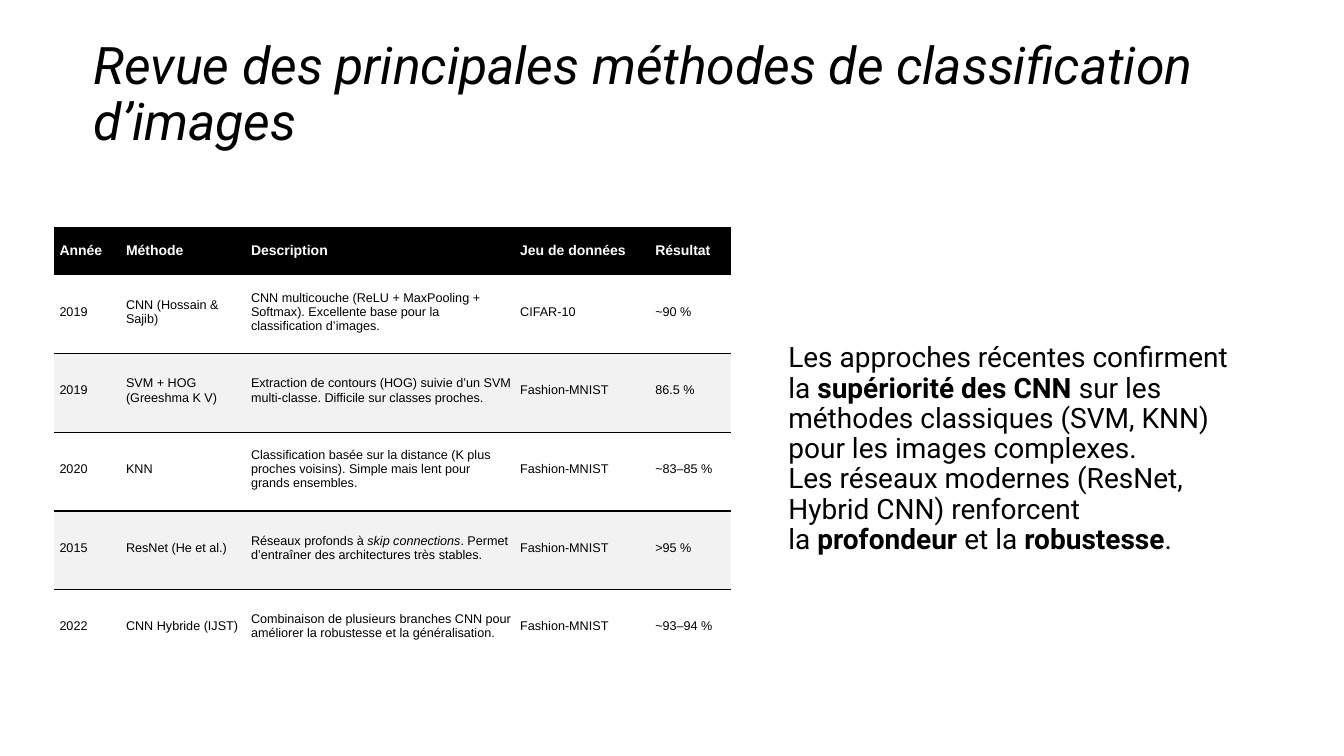
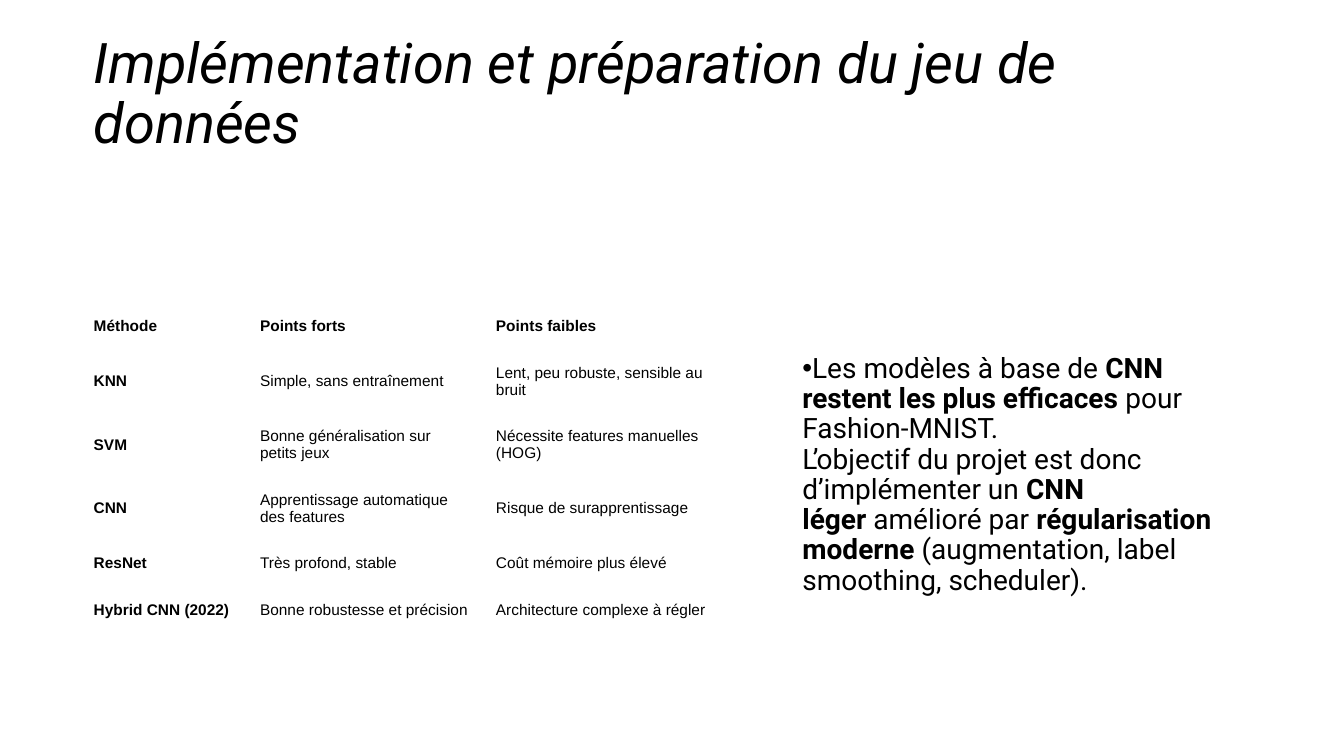
from lxml import etree
from pptx import Presentation
from pptx.dml.color import RGBColor
from pptx.enum.text import MSO_ANCHOR, MSO_AUTO_SIZE, PP_ALIGN
from pptx.oxml.ns import qn
from pptx.util import Inches, Pt

BLACK = RGBColor(0x00, 0x00, 0x00)
WHITE = RGBColor(0xFF, 0xFF, 0xFF)
BAND = RGBColor(0xF2, 0xF2, 0xF2)
MIDDLE = MSO_ANCHOR.MIDDLE
NO_AUTOFIT = MSO_AUTO_SIZE.NONE
LEFT = PP_ALIGN.LEFT
HEAD_FONT, CELL_FONT = "Roboto", "Arial"
NBSP = chr(160)
PLAIN_TABLE = "{2D5ABB26-0587-4C30-8999-92F81FD0307C}"

# Content: *stars* mark emphasis, a newline is a line break
REVIEW = {
    "title": "Revue des principales méthodes de classification\nd’images",
    "title_size": 37,
    "rows": [
        ("Année", "Méthode", "Description", "Jeu de données", "Résultat"),
        ("2019", "CNN (Hossain & Sajib)",
         "CNN multicouche (ReLU + MaxPooling + Softmax). Excellente base pour "
         "la classification d’images.", "CIFAR-10", "~90 %"),
        ("2019", "SVM + HOG (Greeshma K V)",
         "Extraction de contours (HOG) suivie d’un SVM multi-classe. Difficile "
         "sur classes proches.", "Fashion-MNIST", "86.5 %"),
        ("2020", "KNN",
         "Classification basée sur la distance (K plus proches voisins). Simple "
         "mais lent pour grands ensembles.", "Fashion-MNIST", "~83–85 %"),
        ("2015", "ResNet (He et al.)",
         "Réseaux profonds à *skip connections*. Permet d’entraîner des "
         "architectures très stables.", "Fashion-MNIST", ">95 %"),
        ("2022", "CNN Hybride (IJST)",
         "Combinaison de plusieurs branches CNN pour améliorer la robustesse "
         "et la généralisation.", "Fashion-MNIST", "~93–94 %"),
    ],
    "table_at": (0.54, 2.25),
    "cols": (0.66, 1.24, 2.67, 1.34, 0.8),
    "heights": (0.48,) + (0.78,) * 5,
    "note": "Les approches récentes confirment la *supériorité des CNN* sur les "
            "méthodes classiques (SVM, KNN) pour les images complexes.\n"
            "Les réseaux modernes (ResNet, Hybrid CNN) renforcent la "
            "*profondeur* et la *robustesse*.",
    "note_at": (7.72, 2.08, 4.81, 4.76),
}
COMPARISON = {
    "title": "Implémentation et préparation du jeu de données",
    "title_size": 40,
    "rows": [
        ("Méthode", "Points forts", "Points faibles"),
        ("KNN", "Simple, sans entraînement", "Lent, peu robuste, sensible au bruit"),
        ("SVM", "Bonne généralisation sur petits jeux",
         "Nécessite features manuelles (HOG)"),
        ("CNN", "Apprentissage automatique des features",
         "Risque de surapprentissage"),
        ("ResNet", "Très profond, stable", "Coût mémoire plus élevé"),
        ("Hybrid CNN (2022)", "Bonne robustesse et précision",
         "Architecture complexe à régler"),
    ],
    "table_at": (0.81, 3.01),
    "cols": (1.65, 2.34, 2.36),
    "heights": (0.46, 0.63, 0.63, 0.63, 0.46, 0.46),
    "note": "Les modèles à base de *CNN restent les plus efficaces* pour "
            "Fashion-MNIST.\nL’objectif du projet est donc d’implémenter un "
            "*CNN léger* amélioré par *régularisation moderne* (augmentation, "
            "label smoothing, scheduler).",
    "note_at": (7.86, 2.58, 4.66, 4.27),
}


def write(tf, text, size, font=HEAD_FONT, color=BLACK, bold=False, italic=False,
          emphasis="bold", spacing=None, after=None):
    """Fill the first paragraph; spaces beside emphasised words do not break."""
    p = tf.paragraphs[0]
    p.alignment = LEFT
    p.line_spacing = spacing
    p.space_after = after
    parts = text.split("*")
    for i, part in enumerate(parts):
        if i > 0 and part.startswith(" "):
            part = NBSP + part[1:]
        if i < len(parts) - 1 and part.endswith(" "):
            part = part[:-1] + NBSP
        for n, line in enumerate(part.split("\n")):
            if n:
                p.add_line_break()
            r = p.add_run()
            r.text = line
            r.font.name, r.font.size = font, Pt(size)
            r.font.color.rgb = color
            r.font.bold, r.font.italic = bold, italic
            if i % 2:
                setattr(r.font, emphasis, True)
    return p


def add_titled_slide(prs, title, size):
    s = prs.slides.add_slide(prs.slide_layouts[5])
    sp = s.shapes.title
    sp.left, sp.top, sp.width, sp.height = map(Inches, (0.83, 0.34, 11.69, 1.21))
    tf = sp.text_frame
    tf.word_wrap, tf.auto_size, tf.vertical_anchor = True, NO_AUTOFIT, MIDDLE
    write(tf, title, size, italic=True, spacing=0.9)
    return s


def add_plain_table(s, content):
    cols, heights = content["cols"], content["heights"]
    box = (*content["table_at"], sum(cols), sum(heights))
    table = s.shapes.add_table(len(heights), len(cols), *map(Inches, box)).table
    table.first_row = table.horz_banding = False
    table._tbl.tblPr.find(qn("a:tableStyleId")).text = PLAIN_TABLE
    for column, width in zip(table.columns, cols):
        column.width = Inches(width)
    for row, height in zip(table.rows, heights):
        row.height = Inches(height)
    return table


def fill_cell(cell, text, size, margins, fill=None, **fmt):
    cell.vertical_anchor = MIDDLE
    (cell.margin_left, cell.margin_top,
     cell.margin_right, cell.margin_bottom) = map(Inches, margins)
    if fill is None:
        cell.fill.background()
    else:
        cell.fill.solid()
        cell.fill.fore_color.rgb = fill
    write(cell.text_frame, text, size, font=CELL_FONT, **fmt)


def add_rule(cell, side):
    ln = etree.Element(qn("a:ln" + side), w=str(Pt(1)))
    fill = etree.SubElement(ln, qn("a:solidFill"))
    etree.SubElement(fill, qn("a:srgbClr"), val=str(BLACK))
    cell._tc.get_or_add_tcPr().insert(0, ln)


def add_note(s, content):
    tf = s.shapes.add_textbox(*map(Inches, content["note_at"])).text_frame
    tf.word_wrap, tf.auto_size, tf.vertical_anchor = True, NO_AUTOFIT, MIDDLE
    return write(tf, content["note"], 20, spacing=0.9, after=Pt(6))


def add_bullet(p):
    pPr = p._p.get_or_add_pPr()
    pPr.set("marL", "0")
    pPr.set("indent", str(Inches(-0.25)))
    etree.SubElement(pPr, qn("a:buFont"), typeface=CELL_FONT)
    etree.SubElement(pPr, qn("a:buChar"), char="•")


def build_review(prs):
    s = add_titled_slide(prs, REVIEW["title"], REVIEW["title_size"])
    table = add_plain_table(s, REVIEW)
    last = len(REVIEW["rows"]) - 1
    for i, row in enumerate(REVIEW["rows"]):
        for j, text in enumerate(row):
            cell = table.cell(i, j)
            if i == 0:
                fill_cell(cell, text, 10, (0.05, 0.07, 0.04, 0.07),
                          fill=BLACK, color=WHITE, bold=True)
                continue
            banded = i % 2 == 0
            fill_cell(cell, text, 9, (0.05, 0.02, 0.04, 0.07),
                      fill=BAND if banded else None, emphasis="italic")
            # A rule separates each plain row from the banded row below it
            if i < last:
                add_rule(cell, "T" if banded else "B")
    add_note(s, REVIEW)


def build_comparison(prs):
    s = add_titled_slide(prs, COMPARISON["title"], COMPARISON["title_size"])
    table = add_plain_table(s, COMPARISON)
    for i, row in enumerate(COMPARISON["rows"]):
        for j, text in enumerate(row):
            fill_cell(table.cell(i, j), text, 11, (0.12,) * 4,
                      bold=i == 0 or j == 0)
    add_bullet(add_note(s, COMPARISON))


def main():
    prs = Presentation()
    prs.slide_width, prs.slide_height = Inches(13.33), Inches(7.5)
    build_review(prs)
    build_comparison(prs)
    prs.save("out.pptx")


if __name__ == "__main__":
    main()
